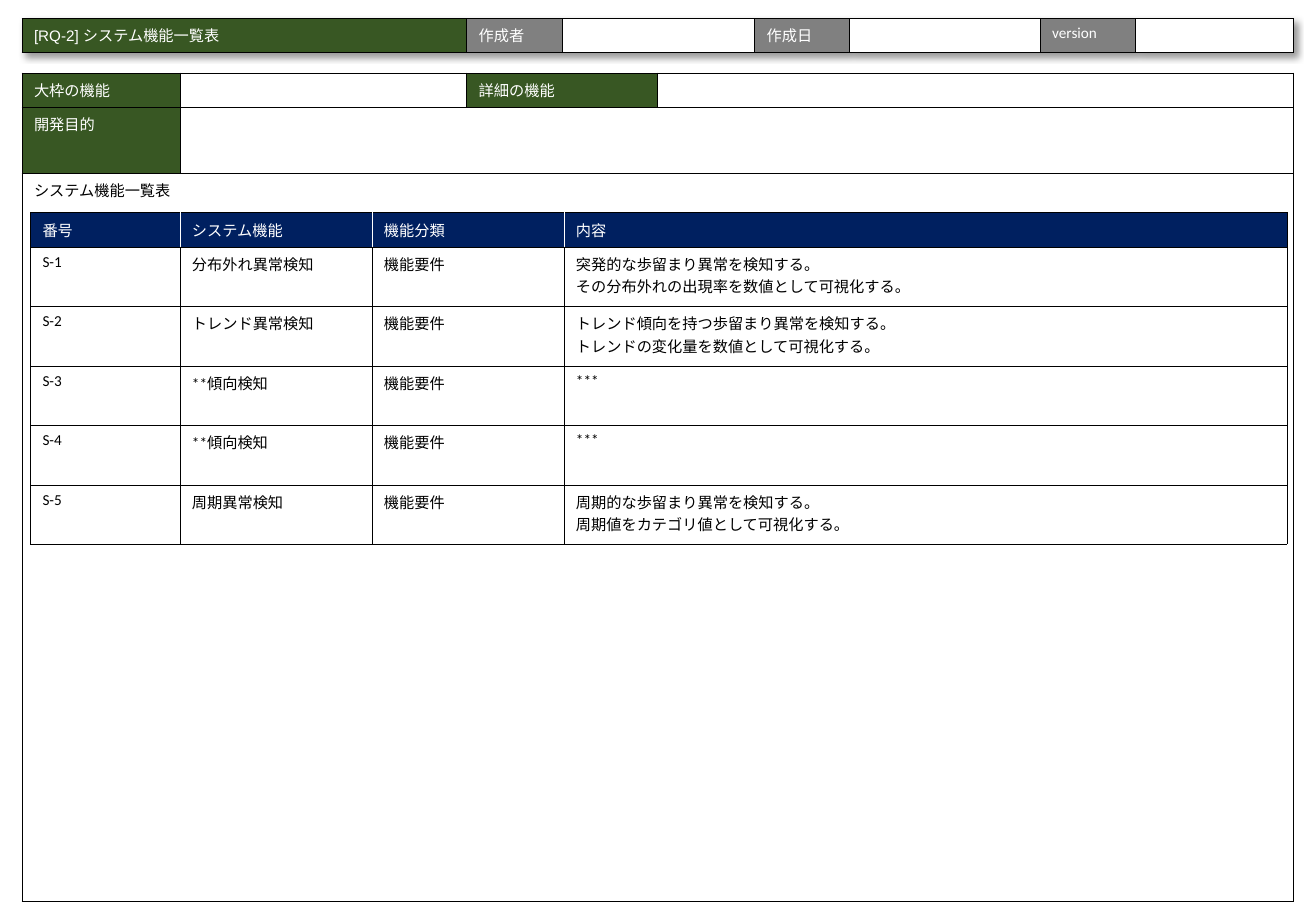
"""Builds the system function list slide from three bordered tables."""
from dataclasses import dataclass

from lxml.etree import SubElement
from pptx import Presentation
from pptx.dml.color import RGBColor
from pptx.oxml.ns import qn
from pptx.util import Inches, Pt


@dataclass(frozen=True)
class Theme:
    green: str = "385723"
    gray: str = "808080"
    navy: str = "002060"
    white: str = "FFFFFF"
    black: str = "000000"
    font: str = "Calibri"
    title_font: str = "Arial"
    size: float = 9
    border: float = 0.25


theme = Theme()


def add_grid(page, left, top, widths, heights):
    frame = page.shapes.add_table(
        len(heights), len(widths), Inches(left), Inches(top),
        Inches(sum(widths)), Inches(sum(heights)))
    table = frame.table
    table.first_row = table.horz_banding = False
    for column, width in zip(table.columns, widths):
        column.width = Inches(width)
    for row, height in zip(table.rows, heights):
        row.height = Inches(height)
    return table


def fill_cell(cell, text, fill, color, font=theme.font, dividers=()):
    properties = cell._tc.get_or_add_tcPr()
    for side in ("lnL", "lnR", "lnT", "lnB"):
        line = SubElement(properties, qn(f"a:{side}"), w=str(Pt(theme.border)))
        paint = SubElement(line, qn("a:solidFill"))
        shade = theme.white if side in dividers else theme.black
        SubElement(paint, qn("a:srgbClr"), val=shade)
    cell.fill.solid()
    cell.fill.fore_color.rgb = RGBColor.from_string(fill)
    cell.text = text
    for para in cell.text_frame.paragraphs:
        for span in para.runs:
            for name, value in {"size": Pt(theme.size), "name": font}.items():
                setattr(span.font, name, value)
            span.font.color.rgb = RGBColor.from_string(color)
        if not para.runs:
            SubElement(para._p, qn("a:endParaRPr"), sz=str(int(theme.size * 100)))


deck = Presentation()
deck.slide_width, deck.slide_height = Inches(10.83), Inches(7.5)
page = deck.slides.add_slide(deck.slide_layouts[6])

header = add_grid(page, 0.18, 0.15, [3.66, 0.79, 1.58, 0.78, 1.57, 0.78, 1.3], [0.28])
header_texts = ["[RQ-2] システム機能一覧表", "作成者", "", "作成日", "", "version", ""]
for index, text in enumerate(header_texts):
    fill = theme.green if index == 0 else theme.gray if text else theme.white
    font = theme.title_font if index == 0 else theme.font
    fill_cell(header.cell(0, index), text, fill, theme.white, font)
effects = SubElement(header._tbl.tblPr, qn("a:effectLst"))
shadow = SubElement(effects, qn("a:outerShdw"), blurRad=str(Pt(4)), dist=str(Pt(3)),
                    dir="2700000", algn="tl", rotWithShape="0")
shadow_color = SubElement(shadow, qn("a:srgbClr"), val=theme.black)
SubElement(shadow_color, qn("a:alpha"), val="40000")
style = header._tbl.tblPr.find(qn("a:tableStyleId"))
style.addprevious(effects)

outline = add_grid(page, 0.18, 0.6, [1.3, 2.36, 1.57, 5.23], [0.28, 0.54, 6])
outline_rows = [
    ["大枠の機能", "", "詳細の機能", ""],
    ["開発目的", "", "", ""],
    ["システム機能一覧表", "", "", ""],
]
for row, texts in enumerate(outline_rows):
    for column, text in enumerate(texts):
        is_label = text and row < 2
        fill_cell(outline.cell(row, column), text,
                  theme.green if is_label else theme.white,
                  theme.white if is_label else theme.black)
outline.cell(1, 1).merge(outline.cell(1, 3))
outline.cell(2, 0).merge(outline.cell(2, 3))

functions = [
    ("分布外れ異常検知", "突発的な歩留まり異常を検知する。\nその分布外れの出現率を数値として可視化する。"),
    ("トレンド異常検知", "トレンド傾向を持つ歩留まり異常を検知する。\nトレンドの変化量を数値として可視化する。"),
    ("**傾向検知", "***"),
    ("**傾向検知", "***"),
    ("周期異常検知", "周期的な歩留まり異常を検知する。\n周期値をカテゴリ値として可視化する。"),
]
headings = ["番号", "システム機能", "機能分類", "内容"]
listing = add_grid(page, 0.25, 1.75, [1.23, 1.58, 1.58, 5.95],
                   [0.28] + [0.49] * len(functions))
for column, heading in enumerate(headings):
    dividers = [side for side, inner in
                (("lnL", column > 0), ("lnR", column < len(headings) - 1)) if inner]
    fill_cell(listing.cell(0, column), heading, theme.navy, theme.white,
              dividers=dividers)
for row, (name, content) in enumerate(functions, start=1):
    for column, text in enumerate([f"S-{row}", name, "機能要件", content]):
        fill_cell(listing.cell(row, column), text, theme.white, theme.black)

deck.save("out.pptx")
